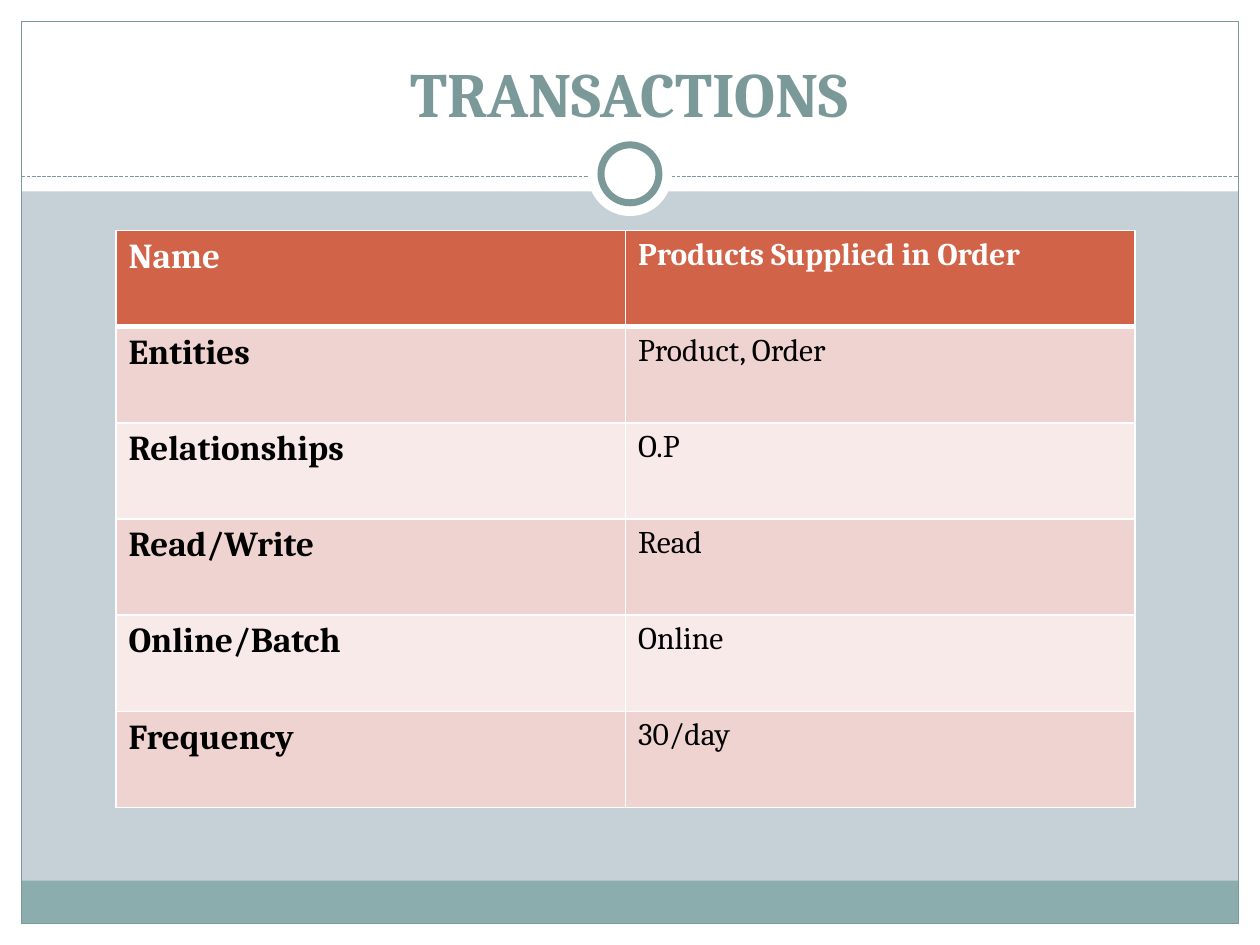
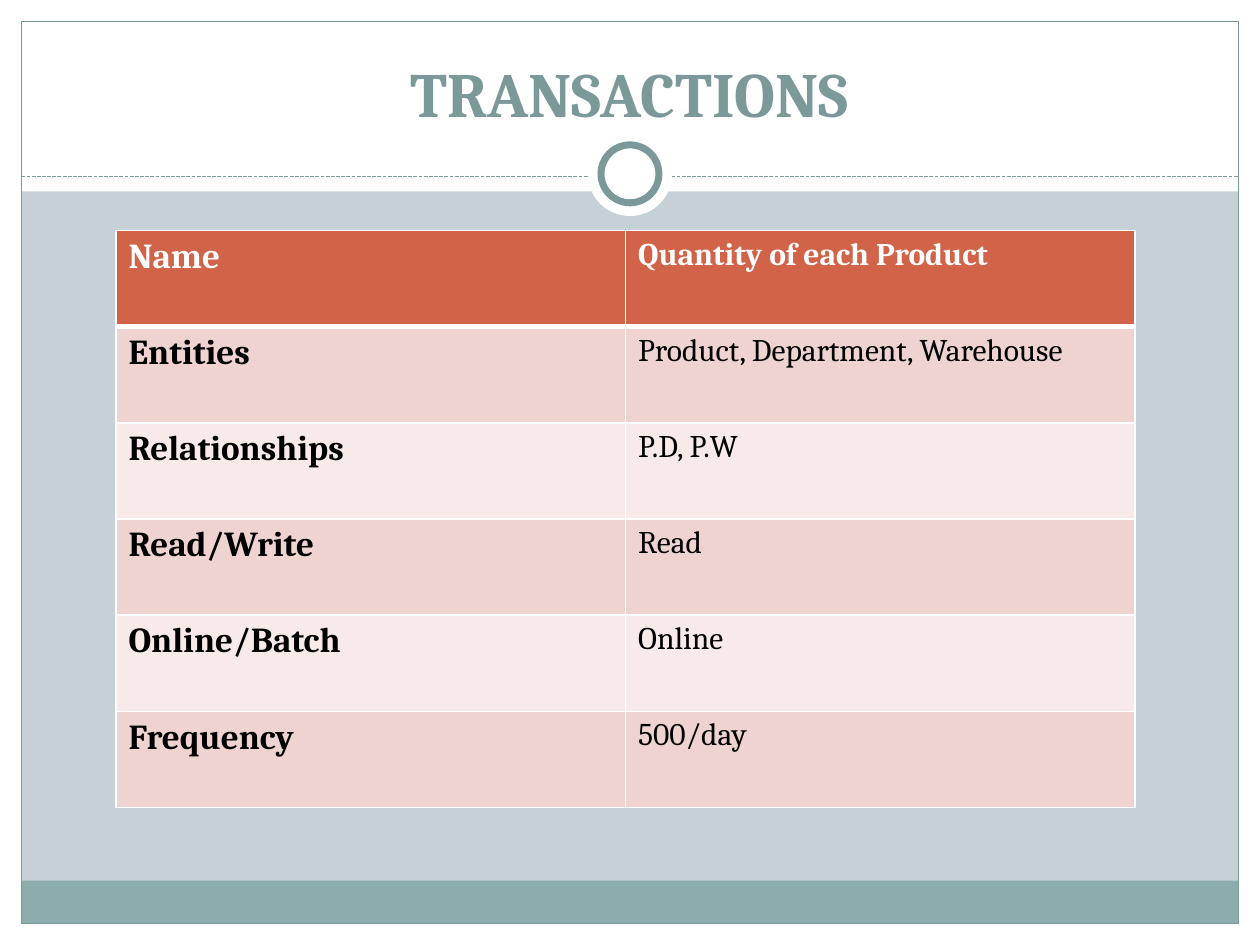
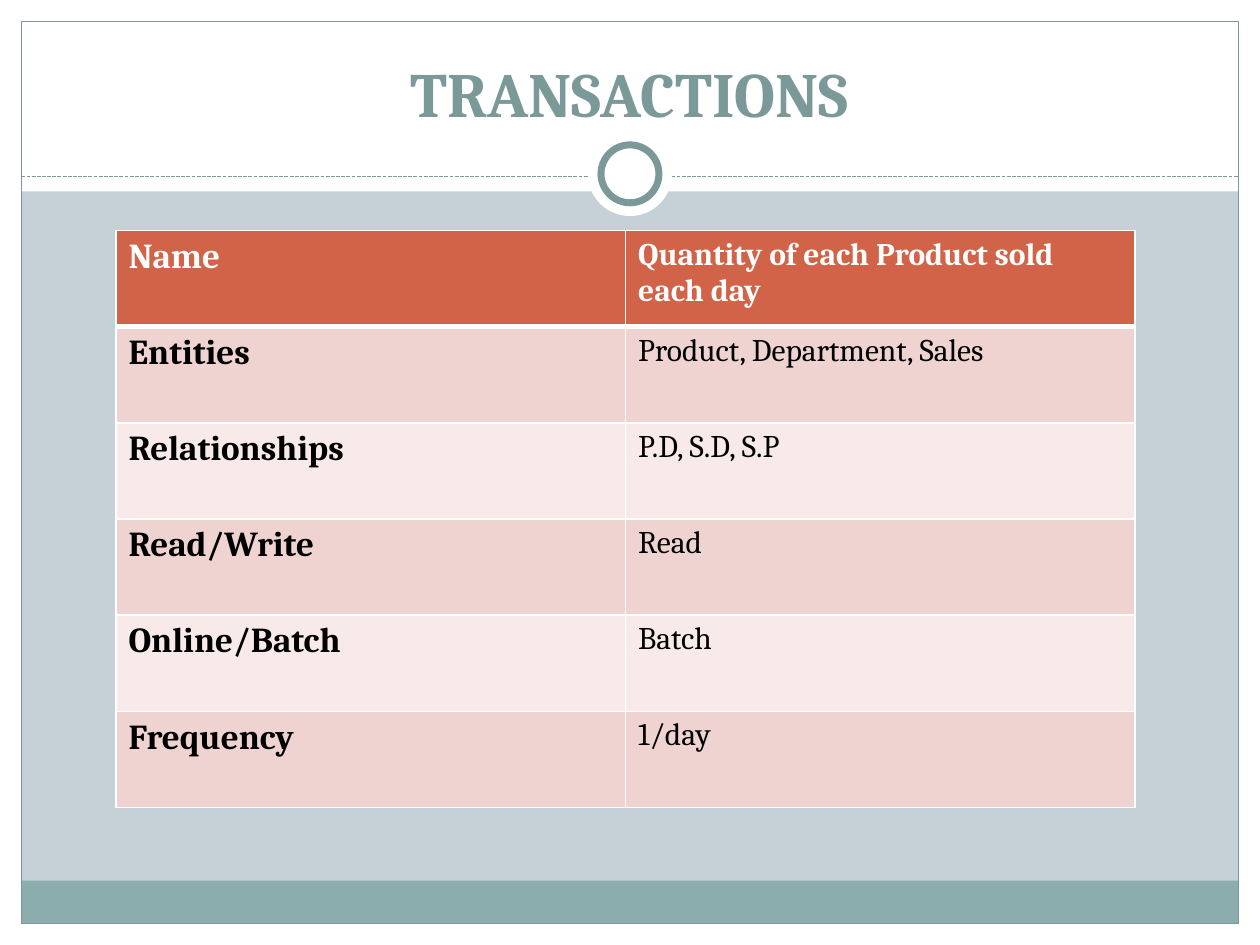
from lxml import etree
from pptx import Presentation
from pptx.dml.color import RGBColor
from pptx.enum.dml import MSO_LINE
from pptx.enum.shapes import MSO_CONNECTOR, MSO_SHAPE
from pptx.enum.text import MSO_ANCHOR, MSO_AUTO_SIZE, PP_ALIGN
from pptx.oxml.ns import qn
from pptx.util import Inches, Pt

RECTANGLE, OVAL = MSO_SHAPE.RECTANGLE, MSO_SHAPE.OVAL
STRAIGHT, DASHED = MSO_CONNECTOR.STRAIGHT, MSO_LINE.SQUARE_DOT
CENTER, BOTTOM, NO_AUTOFIT = PP_ALIGN.CENTER, MSO_ANCHOR.BOTTOM, MSO_AUTO_SIZE.NONE

FONT = "Cambria"
WHITE, BLACK, TEAL, SAGE, MIST = "FFFFFF", "000000", "7C999A", "8CADAE", "C5D1D7"
HEADER, BANDS = "D16349", ("F7EAE9", "EED3D0")

WIDTH, HEIGHT = Inches(10), Inches(7.5)
MARGIN = Inches(0.17)
INNER_WIDTH = WIDTH - 2 * MARGIN
TITLE_BAND, FOOTER = Inches(1.52), Inches(0.34)
DIVIDER, RING_CENTER = Inches(1.4), Inches(1.38)
HALO, RING = Inches(0.67), Inches(0.46)
TABLE_LEFT, TABLE_TOP = Inches(0.92), Inches(1.83)
TABLE_WIDTH, TABLE_HEIGHT = Inches(8.09), Inches(4.58)

LABELS = ["Name", "Entities", "Relationships", "Read/Write", "Online/Batch", "Frequency"]
TRANSACTIONS = [
    ["Products Supplied in Order", "Product, Order", "O.P", "Read", "Online", "30/day"],
    ["Quantity of each Product", "Product, Department, Warehouse", "P.D, P.W",
     "Read", "Online", "500/day"],
    ["Quantity of each Product sold each day", "Product, Department, Sales",
     "P.D, S.D, S.P", "Read", "Batch", "1/day"],
]


def color(hex_string):
    return RGBColor.from_string(hex_string)


def style_text(paragraph, size, hex_string, bold):
    font = paragraph.font
    font.name, font.size, font.bold = FONT, Pt(size), bold
    font.color.rgb = color(hex_string)


presentation = Presentation()
presentation.slide_width, presentation.slide_height = WIDTH, HEIGHT

# Shared layout: background and title position
layout = presentation.slide_layouts.get_by_name("Title Only")
layout.background.fill.solid()
layout.background.fill.fore_color.rgb = color(MIST)
for placeholder in list(layout.placeholders):
    if placeholder.placeholder_format.idx != 0:
        placeholder.element.getparent().remove(placeholder.element)
title = layout.placeholders[0]
title.left, title.top = Inches(0.33), Inches(0.25)
title.width, title.height = Inches(9.33), Inches(0.83)
title.text_frame.vertical_anchor = BOTTOM
title.text_frame.auto_size = NO_AUTOFIT

slides = [presentation.slides.add_slide(layout) for _ in TRANSACTIONS]

# Shared frame, drawn on the first slide and moved to the layout
shapes = slides[0].shapes
frame = []
halo_box = ((WIDTH - HALO) // 2, RING_CENTER - HALO // 2, HALO, HALO)
ring_box = ((WIDTH - RING) // 2, RING_CENTER - RING // 2, RING, RING)
for kind, box, fill, line_width in [
    (RECTANGLE, (0, HEIGHT - MARGIN, WIDTH, MARGIN), WHITE, 0),
    (RECTANGLE, (0, 0, WIDTH, TITLE_BAND), WHITE, 0),
    (RECTANGLE, (0, 0, MARGIN, HEIGHT), WHITE, 0),
    (RECTANGLE, (WIDTH - MARGIN, 0, MARGIN, HEIGHT), WHITE, 0),
    (RECTANGLE, (MARGIN, HEIGHT - MARGIN - FOOTER, INNER_WIDTH, FOOTER), SAGE, 0),
    (RECTANGLE, (MARGIN, MARGIN, INNER_WIDTH, HEIGHT - 2 * MARGIN), None, 0.75),
    (None, (MARGIN, DIVIDER, WIDTH - MARGIN, DIVIDER), None, 0.75),
    (OVAL, halo_box, WHITE, 0),
    (OVAL, ring_box, WHITE, 4),
]:
    if kind is None:
        shape = shapes.add_connector(STRAIGHT, *box)
        shape.line.dash_style = DASHED
        etree.SubElement(shape.element.spPr, qn("a:effectLst"))
    else:
        shape = shapes.add_shape(kind, *box)
        shape.shadow.inherit = False
        if fill:
            shape.fill.solid()
            shape.fill.fore_color.rgb = color(fill)
        else:
            shape.fill.background()
    if line_width:
        shape.line.color.rgb = color(TEAL)
        shape.line.width = Pt(line_width)
    else:
        shape.line.fill.background()
    frame.append(shape.element)
layout_tree = title.element.getparent()
for element in frame:
    title.element.addprevious(element)

# One title and one table per transaction
for slide, values in zip(slides, TRANSACTIONS):
    slide.shapes.title.text = "TRANSACTIONS"
    paragraph = slide.shapes.title.text_frame.paragraphs[0]
    paragraph.alignment = CENTER
    style_text(paragraph, 36, TEAL, True)

    table = slide.shapes.add_table(
        len(LABELS), 2, TABLE_LEFT, TABLE_TOP, TABLE_WIDTH, TABLE_HEIGHT).table
    for row, texts in enumerate(zip(LABELS, values)):
        is_header = row == 0
        for column, text in enumerate(texts):
            cell = table.cell(row, column)
            cell.text = text
            style_text(cell.text_frame.paragraphs[0], 18 if column else 20,
                       WHITE if is_header else BLACK, is_header or column == 0)
            # White borders, thick under the header
            properties = cell._tc.get_or_add_tcPr()
            for side in ("lnL", "lnR", "lnT", "lnB"):
                thick = (row, side) in ((0, "lnB"), (1, "lnT"))
                border = etree.SubElement(properties, qn(f"a:{side}"),
                                          w=str(Pt(3 if thick else 1)))
                border_fill = etree.SubElement(border, qn("a:solidFill"))
                etree.SubElement(border_fill, qn("a:srgbClr"), val=WHITE)
            cell.fill.solid()
            cell.fill.fore_color.rgb = color(HEADER if is_header else BANDS[row % 2])

presentation.save("out.pptx")
